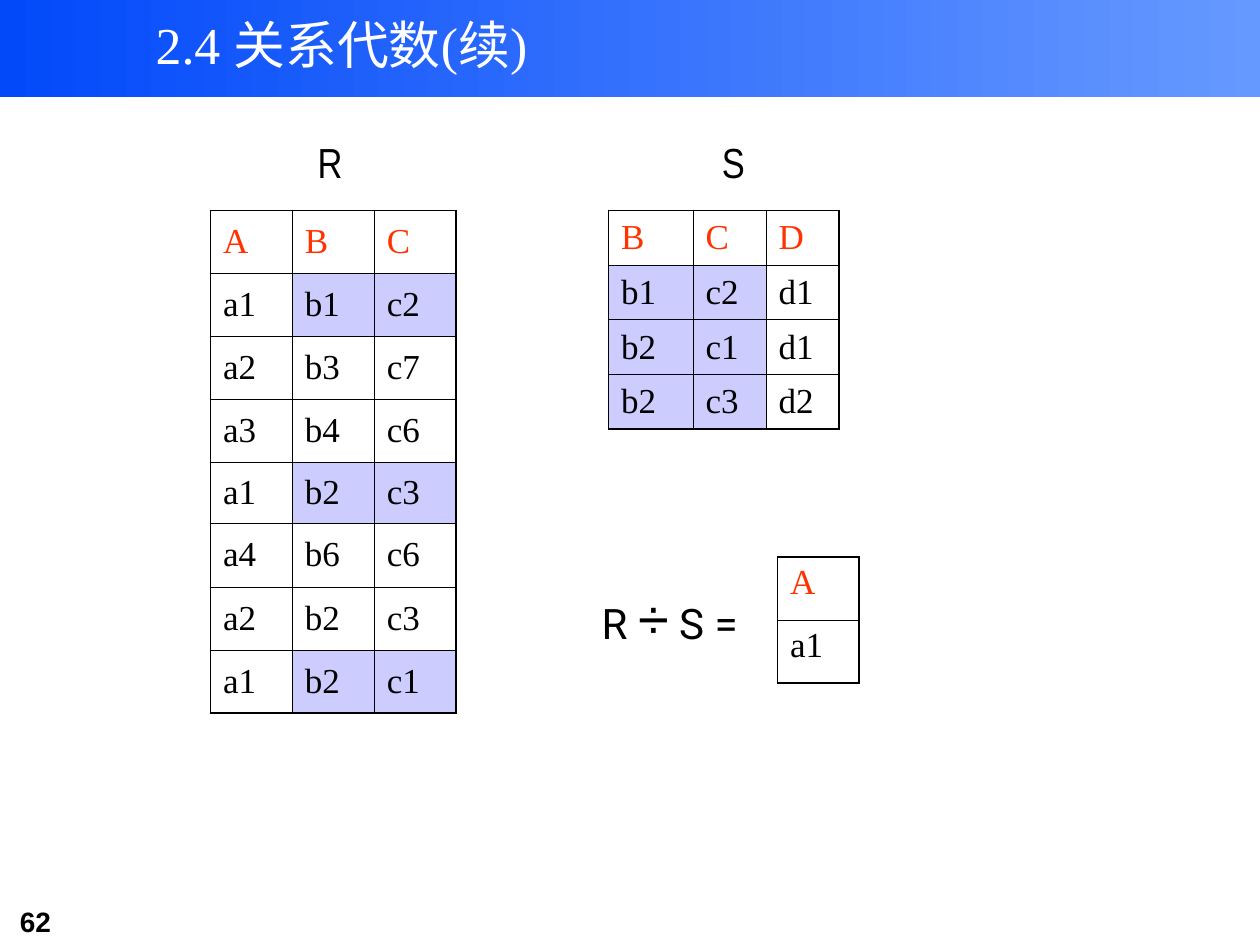
from dataclasses import dataclass

from lxml.etree import SubElement
from pptx import Presentation
from pptx.dml.color import RGBColor
from pptx.enum.shapes import MSO_SHAPE
from pptx.enum.text import MSO_ANCHOR, MSO_AUTO_SIZE, PP_ALIGN
from pptx.oxml.ns import qn
from pptx.slide import Slide
from pptx.table import _Cell
from pptx.util import Inches, Pt

COLORS = {
    "band_start": "0249FA",
    "band_end": "6699FF",
    "white": "FFFFFF",
    "ink": "000000",
    "heading": "FF3300",
    "match": "CCCCFF",
}
OUTER_LINE = 1.08
INNER_LINE = 0.45


@dataclass(frozen=True)
class Run:
    text: str
    size: float
    font: str


@dataclass(frozen=True)
class Label:
    left: float
    top: float
    width: float
    height: float
    runs: tuple[Run, ...]
    color: str = "ink"
    bold: bool = False
    wrap: bool = False
    grow: bool = True
    align: PP_ALIGN = PP_ALIGN.CENTER
    anchor: MSO_ANCHOR = MSO_ANCHOR.TOP


@dataclass(frozen=True)
class Relation:
    left: float
    top: float
    columns: tuple[float, ...]
    row_heights: tuple[float, ...]
    rows: tuple[str, ...]
    matched_rows: tuple[int, ...] = ()
    matched_columns: tuple[int, ...] = ()
    anchor: MSO_ANCHOR = MSO_ANCHOR.MIDDLE


LABELS = (
    Label(0.06, 7.13, 1.22, 0.37, (Run("62", 16, "Arial"),),
          bold=True, wrap=True, align=PP_ALIGN.LEFT),
    Label(0.92, 0.01, 3.58, 0.67, (Run("2.4 关系代数(续)", 29.6, "Times New Roman"),),
          color="white", wrap=True, grow=False, anchor=MSO_ANCHOR.MIDDLE),
    Label(2.42, 0.92, 0.5, 0.64,
          (Run("R", 24, "Arial Narrow"), Run(" ", 32, "Arial Narrow"))),
    Label(5.58, 0.92, 0.48, 0.64,
          (Run("S", 24, "Arial Narrow"), Run(" ", 32, "Arial Narrow"))),
    Label(4.63, 4.58, 1.37, 0.64,
          (Run("R ", 24, "Roboto"), Run("÷", 32, "Arial"), Run(" S =", 24, "Roboto"))),
)

RELATIONS = (
    Relation(1.67, 1.67, (0.65,) * 3, (0.5, 0.5, 0.5, 0.5, 0.48, 0.51, 0.5, 0.5),
             ("A B C", "a1 b1 c2", "a2 b3 c7", "a3 b4 c6",
              "a1 b2 c3", "a4 b6 c6", "a2 b2 c3", "a1 b2 c1"),
             matched_rows=(1, 4, 7), matched_columns=(1, 2)),
    Relation(4.83, 1.67, (0.67, 0.58, 0.58), (0.43,) * 4,
             ("B C D", "b1 c2 d1", "b2 c1 d1", "b2 c3 d2"),
             matched_rows=(1, 2, 3), matched_columns=(0, 1)),
    Relation(6.17, 4.42, (0.65,), (0.5,) * 2, ("A", "a1"), anchor=MSO_ANCHOR.TOP),
)


def rgb(name: str) -> RGBColor:
    """Return the named colour."""
    return RGBColor.from_string(COLORS[name])


def draw_band(slide: Slide) -> None:
    """Draw the gradient band behind the title."""
    band = slide.shapes.add_shape(MSO_SHAPE.RECTANGLE, 0, 0, Inches(10), Inches(0.77))
    band.shadow.inherit = False
    band.line.fill.background()
    band.fill.gradient()
    band.fill.gradient_angle = 0
    for stop, position, name in zip(band.fill.gradient_stops, (0, 1), ("band_start", "band_end")):
        stop.position = position
        stop.color.rgb = rgb(name)


def draw_label(slide: Slide, label: Label) -> None:
    """Draw one text box."""
    box = slide.shapes.add_textbox(
        Inches(label.left), Inches(label.top), Inches(label.width), Inches(label.height))
    frame = box.text_frame
    frame.word_wrap = label.wrap
    frame.auto_size = MSO_AUTO_SIZE.SHAPE_TO_FIT_TEXT if label.grow else MSO_AUTO_SIZE.NONE
    frame.vertical_anchor = label.anchor
    paragraph = frame.paragraphs[0]
    paragraph.alignment = label.align
    paragraph.font.bold = label.bold
    paragraph.font.color.rgb = rgb(label.color)
    for part in label.runs:
        run = paragraph.add_run()
        run.text = part.text
        run.font.size = Pt(part.size)
        run.font.name = part.font
        run.font.color.rgb = rgb(label.color)


def set_borders(cell: _Cell, outer_sides: dict[str, bool]) -> None:
    """Rule the four sides of a cell, heavier on the outer edge."""
    properties = cell._tc.get_or_add_tcPr()
    for index, (side, outer) in enumerate(outer_sides.items()):
        line = SubElement(properties, qn(f"a:{side}"))
        line.set("w", str(int(Pt(OUTER_LINE if outer else INNER_LINE))))
        fill = SubElement(line, qn("a:solidFill"))
        SubElement(fill, qn("a:srgbClr")).set("val", COLORS["ink"])
        properties.insert(index, line)


def draw_relation(slide: Slide, relation: Relation) -> None:
    """Draw one relation as a ruled table with its matching tuples shaded."""
    last_row, last_column = len(relation.rows) - 1, len(relation.columns) - 1
    table = slide.shapes.add_table(
        last_row + 1, last_column + 1, Inches(relation.left), Inches(relation.top),
        Inches(sum(relation.columns)), Inches(sum(relation.row_heights))).table
    table.first_row = False
    table.horz_banding = False
    for column, width in zip(table.columns, relation.columns):
        column.width = Inches(width)
    for row_index, (row, height) in enumerate(zip(relation.rows, relation.row_heights)):
        table.rows[row_index].height = Inches(height)
        for column_index, value in enumerate(row.split()):
            cell = table.cell(row_index, column_index)
            cell.vertical_anchor = relation.anchor
            if row_index in relation.matched_rows and column_index in relation.matched_columns:
                cell.fill.solid()
                cell.fill.fore_color.rgb = rgb("match")
            else:
                cell.fill.background()
            set_borders(cell, {
                "lnL": column_index == 0,
                "lnR": column_index == last_column,
                "lnT": row_index == 0,
                "lnB": row_index == last_row,
            })
            paragraph = cell.text_frame.paragraphs[0]
            paragraph.text = value
            paragraph.font.size = Pt(20)
            paragraph.font.name = "Times New Roman"
            paragraph.font.color.rgb = rgb("ink" if row_index else "heading")


def main() -> None:
    """Build and save the relational division slide."""
    presentation = Presentation()
    presentation.slide_width = Inches(10)
    presentation.slide_height = Inches(7.5)
    slide = presentation.slides.add_slide(presentation.slide_layouts[6])
    draw_band(slide)
    for label in LABELS:
        draw_label(slide, label)
    for relation in RELATIONS:
        draw_relation(slide, relation)
    presentation.save("out.pptx")


if __name__ == "__main__":
    main()
